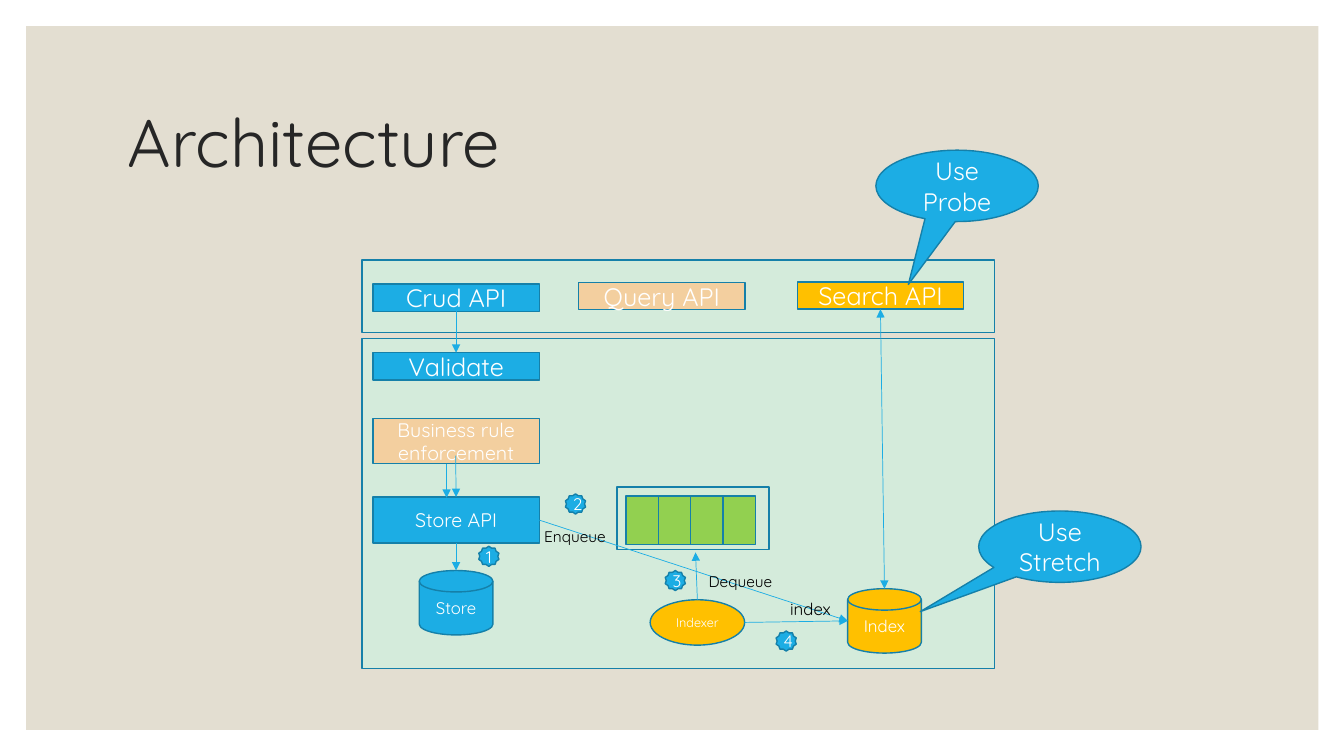
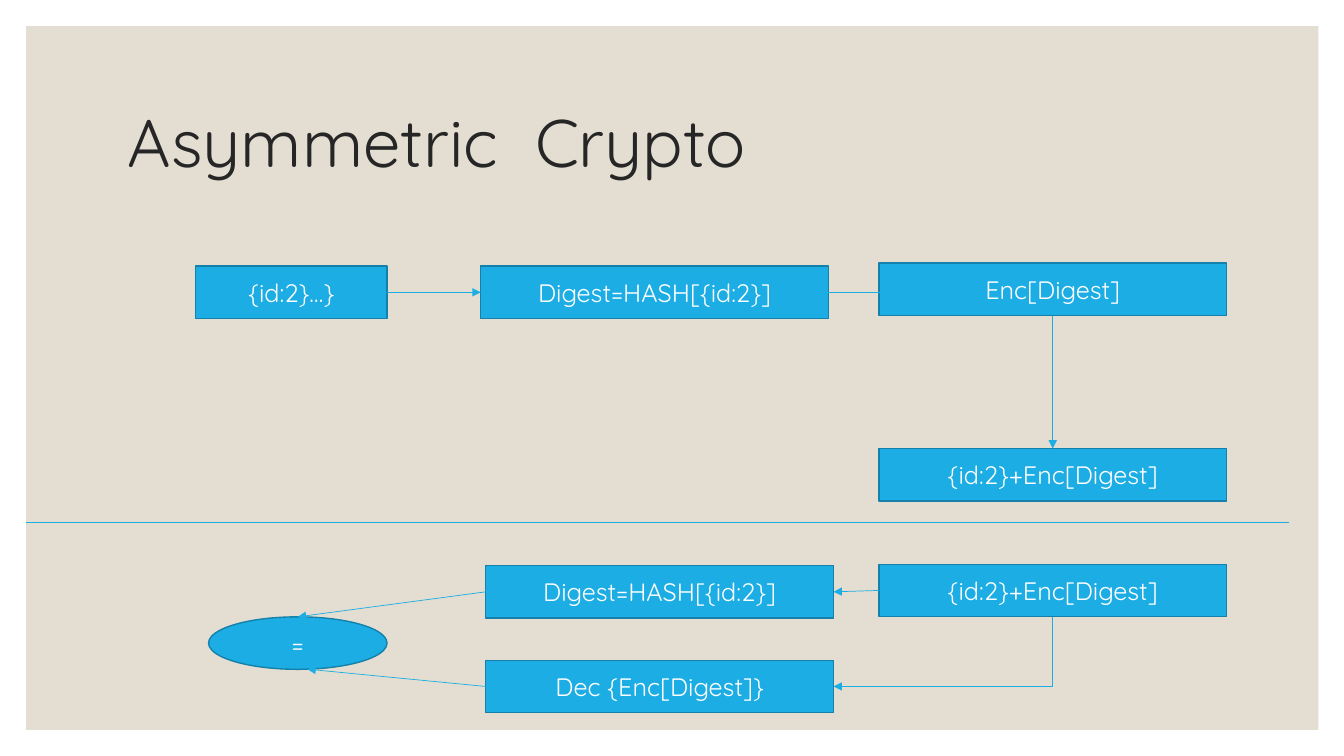
from dataclasses import dataclass

from pptx import Presentation
from pptx.dml.color import RGBColor
from pptx.enum import shapes, text
from pptx.oxml import ns, xmlchemy
from pptx.util import Pt

FONT = "Quicksand"
SAND = RGBColor(0xE3, 0xDE, 0xD1)
MINT = RGBColor(0xD4, 0xEB, 0xDB)
BLUE = RGBColor(0x1C, 0xAD, 0xE4)
OUTLINE = RGBColor(0x15, 0x80, 0xA9)
AMBER = RGBColor(0xFF, 0xC0, 0x00)
PEACH = RGBColor(0xF3, 0xCF, 0x9F)
GREEN = RGBColor(0x92, 0xD0, 0x50)
INK = RGBColor(0x26, 0x26, 0x26)
BLACK = RGBColor(0, 0, 0)
WHITE = RGBColor(0xFF, 0xFF, 0xFF)

Kind = shapes.MSO_SHAPE
Align = text.PP_ALIGN
Anchor = text.MSO_ANCHOR
Point = tuple[float, float]


@dataclass(frozen=True)
class Box:
    """A filled shape, placed in points, whose side midpoints anchor arrows."""
    left: float
    top: float
    width: float
    height: float
    words: str = ""
    fill: RGBColor = BLUE
    size: float = 18
    kind: Kind = Kind.RECTANGLE
    outline: RGBColor | None = OUTLINE
    adjustments: tuple[float, ...] = ()

    @property
    def north(self) -> Point:
        return self.left + self.width / 2, self.top

    @property
    def south(self) -> Point:
        return self.left + self.width / 2, self.top + self.height

    @property
    def west(self) -> Point:
        return self.left, self.top + self.height / 2

    @property
    def east(self) -> Point:
        return self.left + self.width, self.top + self.height / 2


@dataclass(frozen=True)
class Link:
    start: Point
    end: Point
    head: bool = False
    tail: bool = True
    bent: bool = False


@dataclass(frozen=True)
class Label:
    left: float
    top: float
    width: float
    words: str
    size: float = 11


def write(frame, words: str, *, size: float, color: RGBColor,
          align=Align.LEFT, anchor=Anchor.TOP, spacing: float = 1.0) -> None:
    frame.word_wrap = True
    frame.vertical_anchor = anchor
    paragraph = frame.paragraphs[0]
    paragraph.alignment = align
    paragraph.line_spacing = spacing
    run = paragraph.add_run()
    run.text = words
    run.font.name = FONT
    run.font.size = Pt(size)
    run.font.color.rgb = color


def draw_box(slide, box: Box) -> None:
    shape = slide.shapes.add_shape(box.kind, Pt(box.left), Pt(box.top),
                                   Pt(box.width), Pt(box.height))
    shape.shadow.inherit = False
    shape.fill.solid()
    shape.fill.fore_color.rgb = box.fill
    if box.outline is None:
        shape.line.fill.background()
    else:
        shape.line.color.rgb = box.outline
        shape.line.width = Pt(1)
    for index, value in enumerate(box.adjustments):
        shape.adjustments[index] = value
    if box.words:
        write(shape.text_frame, box.words, size=box.size, color=WHITE,
              align=Align.CENTER, anchor=Anchor.MIDDLE)


def draw_link(slide, link: Link) -> None:
    """Draw a line; a bent one runs across first, then up or down."""
    kind = shapes.MSO_CONNECTOR.ELBOW if link.bent else shapes.MSO_CONNECTOR.STRAIGHT
    connector = slide.shapes.add_connector(
        kind, *(Pt(value) for value in link.start + link.end))
    connector.line.color.rgb = BLUE
    connector.line.width = Pt(0.5)
    properties = connector._element.spPr
    if link.bent:
        properties.find(ns.qn("a:prstGeom")).set("prst", "bentConnector2")
    line = properties.find(ns.qn("a:ln"))
    for tag, shown in (("a:headEnd", link.head), ("a:tailEnd", link.tail)):
        if shown:
            end = xmlchemy.OxmlElement(tag)
            end.set("type", "triangle")
            line.append(end)
    properties.append(xmlchemy.OxmlElement("a:effectLst"))


def draw_label(slide, label: Label) -> None:
    box = slide.shapes.add_textbox(Pt(label.left), Pt(label.top),
                                   Pt(label.width), Pt(21))
    write(box.text_frame, label.words, size=label.size, color=BLACK)


def add_titled_slide(presentation, title: str):
    slide = presentation.slides.add_slide(presentation.slide_layouts[6])
    draw_box(slide, Box(18.7, 18.7, 923, 502.6, fill=SAND, outline=None))
    heading = slide.shapes.add_textbox(Pt(84.2), Pt(50.4), Pt(792), Pt(108))
    write(heading.text_frame, title, size=48, color=INK,
          anchor=Anchor.MIDDLE, spacing=0.9)
    return slide


def draw_all(slide, boxes: list[Box], links: list[Link]) -> None:
    for box in boxes:
        draw_box(slide, box)
    for link in links:
        draw_link(slide, link)


def api_box(left: float, top: float, words: str, fill: RGBColor = BLUE,
            height: float = 19.5, size: float = 18) -> Box:
    return Box(left, top, 118.8, height, words, fill, size)


def disk(left: float, top: float, words: str, fill: RGBColor) -> Box:
    return Box(left, top, 52.6, 46, words, fill, 12, Kind.FLOWCHART_MAGNETIC_DISK)


def callout(left: float, top: float, words: str, tip: Point) -> Box:
    return Box(left, top, 116, 51, words, kind=Kind.OVAL_CALLOUT, adjustments=tip)


def build_architecture(presentation) -> None:
    slide = add_titled_slide(presentation, "Architecture")
    panels = [
        Box(258.5, 242, 452, 235.5, fill=MINT),
        Box(440.6, 347.8, 108.7, 44.6, fill=MINT),
        Box(258.5, 185.8, 452, 51.8, fill=MINT, kind=Kind.FLOWCHART_PROCESS),
    ]
    cell_width = 23.1
    queue = [Box(447.1 + index * cell_width, 354.2, cell_width, 34.6,
                 fill=GREEN, kind=Kind.FLOWCHART_PROCESS) for index in range(4)]

    column = 266.4
    crud = api_box(column, 203, "Crud API")
    query = api_box(413.3, 201.8, "Query API", PEACH)
    search = api_box(569.5, 201.4, "Search API", AMBER)
    validate = api_box(column, 252, "Validate")
    rules = api_box(column, 298.8, "Business rule enforcement", PEACH, 32.4, 14)
    store_api = api_box(column, 355, "Store API", height=33, size=14)
    store = disk(299.5, 407.5, "Store", BLUE)
    index_disk = disk(605.5, 420.5, "Index", AMBER)
    indexer = Box(464.4, 428.4, 67.5, 32.4, "Indexer", AMBER, 9, Kind.OVAL)

    links = [
        Link(crud.south, validate.north),
        Link((319, 331.2), (319, 355.5)),
        Link((325.5, 325.5), store_api.north),
        Link(store_api.south, store.north),
        Link(indexer.north, (496.8, 394.6)),
        Link(indexer.east, index_disk.west),
        Link(store_api.east, index_disk.west),
        Link(search.south, index_disk.north, head=True),
    ]
    draw_all(slide, panels + queue + [crud, query, search, validate, rules,
                                      store_api, store, index_disk, indexer], links)

    for label in (Label(499, 405.4, 65.5, "Dequeue"),
                  Label(557.3, 424, 71.3, "index", 12),
                  Label(381.6, 373, 62.6, "Enqueue")):
        draw_label(slide, label)

    steps = [(342, 390.2), (403.9, 352.8), (475.2, 407.5), (554.4, 450.7)]
    badges = [Box(left, top, 14.4, 14.4, str(number), size=12, kind=Kind.STAR_10_POINT)
              for number, (left, top) in enumerate(steps, start=1)]
    callouts = [callout(625.7, 107.3, "Use Probe", (-0.3, 1.38)),
                callout(699.1, 365, "Use Stretch", (-0.86, 0.91))]
    draw_all(slide, badges + callouts, [])


def message_box(left: float, top: float, words: str, width: float = 248.4,
                kind: Kind = Kind.RECTANGLE) -> Box:
    return Box(left, top, width, 37.5, words, kind=kind)


def build_crypto(presentation) -> None:
    slide = add_titled_slide(presentation, "Asymmetric  Crypto")
    right_column, check_column = 627.8, 347
    message = message_box(139.7, 190.1, "{id:2}…}", 136.8)
    digest = message_box(343.4, 190.1, "Digest=HASH[{id:2}]")
    encrypted = message_box(right_column, 188, "Enc[Digest]")
    sent = message_box(right_column, 320.4, "{id:2}+Enc[Digest]")
    received = message_box(right_column, 403, "{id:2}+Enc[Digest]")
    rehashed = message_box(check_column, 404, "Digest=HASH[{id:2}]")
    decrypted = message_box(check_column, 471.6, "Dec {Enc[Digest]}")
    equal = message_box(149, 440.6, "=", 127.5, Kind.OVAL)

    draw_all(slide, [message, digest, encrypted, sent, received,
                     rehashed, decrypted, equal], [
        Link(message.east, digest.west),
        Link(digest.east, (636.5, digest.east[1])),
        Link(encrypted.south, sent.north),
        Link((18.7, 373.4), (920.9, 373.4), tail=False),
        Link(received.west, rehashed.east),
        Link(decrypted.east, received.south, head=True, tail=False, bent=True),
        Link(rehashed.west, equal.north),
        Link(decrypted.west, (219.6, 478)),
    ])


def main() -> None:
    presentation = Presentation()
    presentation.slide_width = Pt(960)
    presentation.slide_height = Pt(540)
    build_architecture(presentation)
    build_crypto(presentation)
    presentation.save("out.pptx")


if __name__ == "__main__":
    main()
